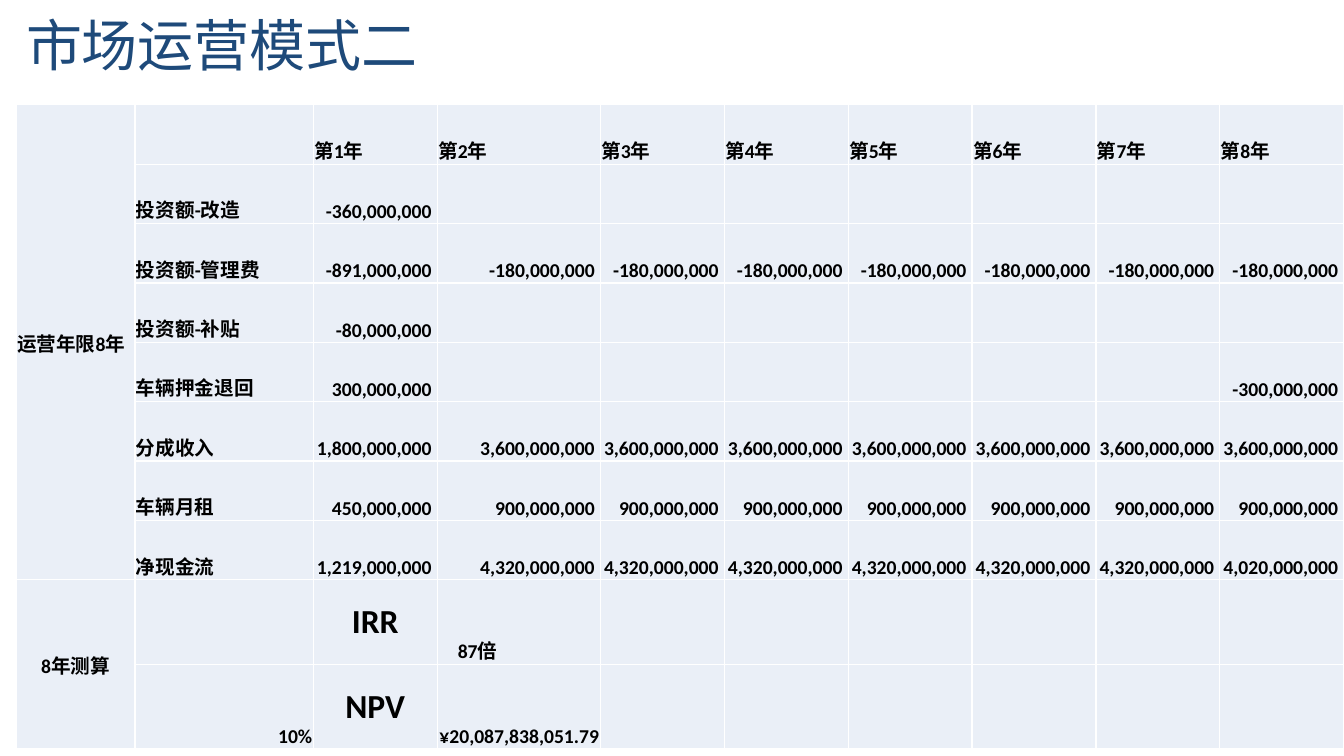
from dataclasses import dataclass

from lxml import etree
from pptx import Presentation
from pptx import util as u
from pptx.dml import color
from pptx.enum import text
from pptx.oxml import ns


@dataclass(frozen=True)
class Theme:
    title_color: str = "1E4A7A"
    body_color: str = "000000"
    cell_color: str = "EAEFF7"
    border_color: str = "FFFFFF"
    title_font: str = "Arial Narrow"
    body_font: str = "Calibri"
    title_size: int = 40
    metric_size: int = 24
    body_size: int = 14
    border_width: int = 1


LEFT, CENTER, RIGHT = text.PP_ALIGN.LEFT, text.PP_ALIGN.CENTER, text.PP_ALIGN.RIGHT
MIDDLE, BOTTOM = text.MSO_ANCHOR.MIDDLE, text.MSO_ANCHOR.BOTTOM


class Page:
    def __init__(self, deck, theme):
        self.deck = deck
        self.theme = theme
        self.slide = deck.slides.add_slide(deck.slide_layouts[6])

    def area(self, left, top, width, height):
        across, down = self.deck.slide_width, self.deck.slide_height
        return [int(share * size) for share, size in
                zip((left, top, width, height), (across, down, across, down))]

    def style(self, paragraph, font_name, size, ink, bold=False):
        font = paragraph.font
        font.name, font.size, font.bold = font_name, u.Pt(size), bold
        font.color.rgb = color.RGBColor.from_string(ink)

    def title(self, wording, *shares):
        frame = self.slide.shapes.add_textbox(*self.area(*shares)).text_frame
        frame.word_wrap = False
        frame.auto_size = text.MSO_AUTO_SIZE.SHAPE_TO_FIT_TEXT
        frame.text = wording
        theme = self.theme
        self.style(frame.paragraphs[0], theme.title_font, theme.title_size, theme.title_color)

    def table(self, column_weights, row_weights, *shares):
        left, top, width, height = self.area(*shares)
        grid = self.slide.shapes.add_table(
            len(row_weights), len(column_weights), left, top, width, height).table
        grid.first_row = grid.horz_banding = False
        for column, weight in zip(grid.columns, column_weights):
            column.width = int(width * weight / sum(column_weights))
        for row, weight in zip(grid.rows, row_weights):
            row.height = int(height * weight / sum(row_weights))
        for cell in grid.iter_cells():
            self.border(cell)
            cell.fill.solid()
            cell.fill.fore_color.rgb = color.RGBColor.from_string(self.theme.cell_color)
        return grid

    def border(self, cell):
        properties = cell._tc.get_or_add_tcPr()
        for side in ("a:lnL", "a:lnR", "a:lnT", "a:lnB"):
            line = etree.SubElement(properties, ns.qn(side), w=str(u.Pt(self.theme.border_width)))
            fill = etree.SubElement(line, ns.qn("a:solidFill"))
            etree.SubElement(fill, ns.qn("a:srgbClr"), val=self.theme.border_color)

    def entry(self, cell, wording, align=LEFT, anchor=BOTTOM, size=None):
        cell.margin_left = cell.margin_right = cell.margin_top = u.Inches(0.01)
        cell.margin_bottom = 0
        cell.vertical_anchor = anchor
        cell.text = wording
        paragraph = cell.text_frame.paragraphs[0]
        paragraph.alignment = align
        theme = self.theme
        self.style(paragraph, theme.body_font, size or theme.body_size, theme.body_color, True)


YEARS = 8
MILLION = 1_000_000
CASH_FLOWS = {
    "投资额-改造": [-360] + [0] * 7,
    "投资额-管理费": [-891] + [-180] * 7,
    "投资额-补贴": [-80] + [0] * 7,
    "车辆押金退回": [300] + [0] * 6 + [-300],
    "分成收入": [1800] + [3600] * 7,
    "车辆月租": [450] + [900] * 7,
}
METRICS = [("", "IRR", "　87倍", LEFT), ("10%", "NPV", "¥20,087,838,051.79", RIGHT)]


def main():
    deck = Presentation()
    deck.slide_width, deck.slide_height = u.Inches(13.33), u.Inches(7.5)
    theme = Theme()
    page = Page(deck, theme)
    page.title("市场运营模式二", 0.16 / 13.33, 0.06 / 7.5, 4.13 / 13.33, 0.77 / 7.5)

    flows = dict(CASH_FLOWS)
    flows["净现金流"] = [sum(year) for year in zip(*CASH_FLOWS.values())]
    first_metric = len(flows) + 1
    forecast = page.table(
        [1.18, 1.77, 1.23, 1.62] + [1.23] * 6,
        [0.59] * first_metric + [0.84] * len(METRICS),
        0.16 / 13.33, 1.04 / 7.5, 13.17 / 13.33, 6.39 / 7.5)

    forecast.cell(0, 0).merge(forecast.cell(first_metric - 1, 0))
    forecast.cell(first_metric, 0).merge(forecast.cell(first_metric + 1, 0))
    page.entry(forecast.cell(0, 0), "运营年限8年", anchor=MIDDLE)
    page.entry(forecast.cell(first_metric, 0), "8年测算", CENTER, MIDDLE)

    for year in range(1, YEARS + 1):
        page.entry(forecast.cell(0, year + 1), f"第{year}年")
    for row, (item, amounts) in enumerate(flows.items(), 1):
        page.entry(forecast.cell(row, 1), item)
        for column, amount in enumerate(amounts, 2):
            if amount:
                page.entry(forecast.cell(row, column), f"{amount * MILLION:,} ", RIGHT)
    for row, (rate, metric, result, align) in enumerate(METRICS, first_metric):
        if rate:
            page.entry(forecast.cell(row, 1), rate, RIGHT)
        page.entry(forecast.cell(row, 2), metric, CENTER, MIDDLE, theme.metric_size)
        page.entry(forecast.cell(row, 3), result, align)

    deck.save("out.pptx")


if __name__ == "__main__":
    main()
